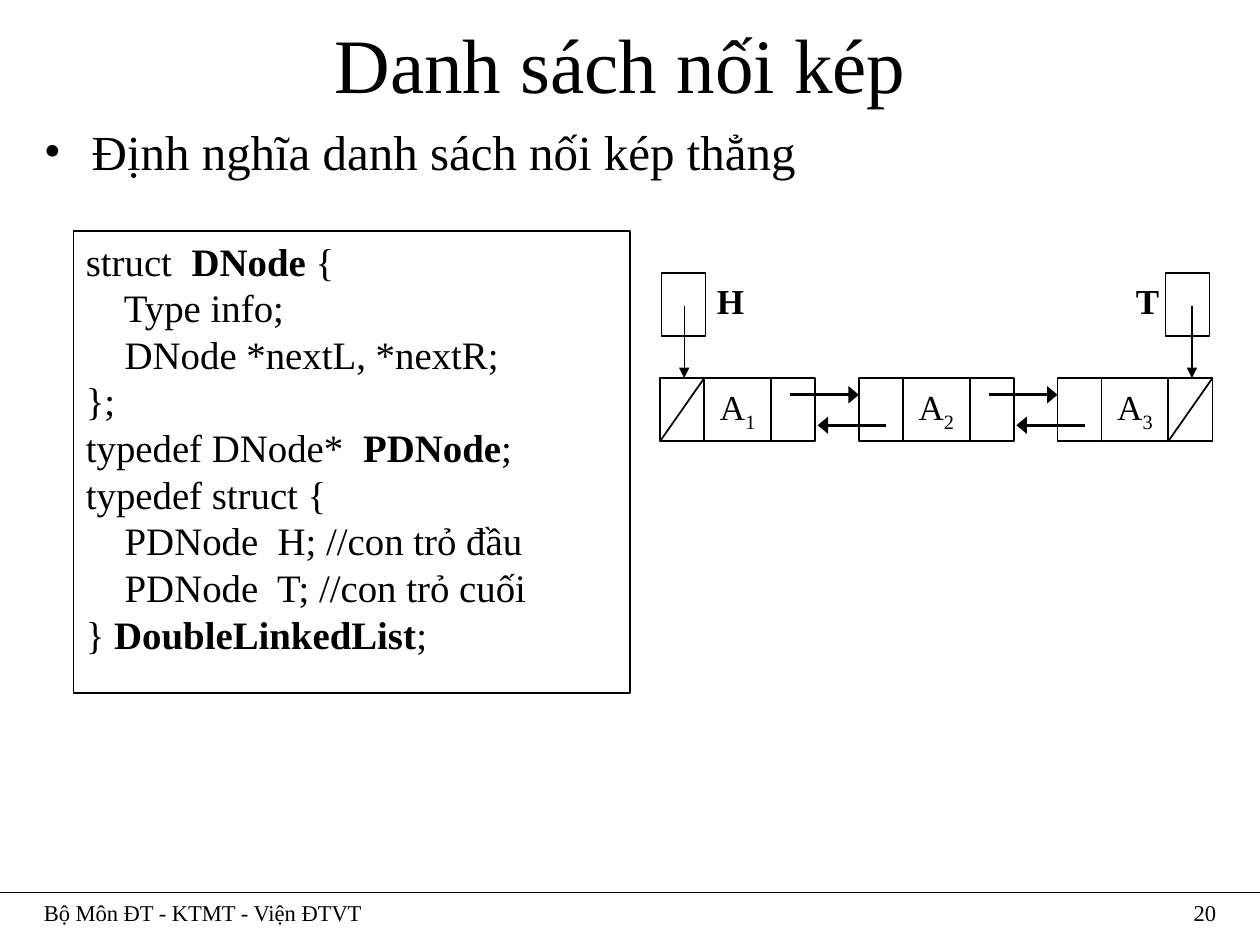
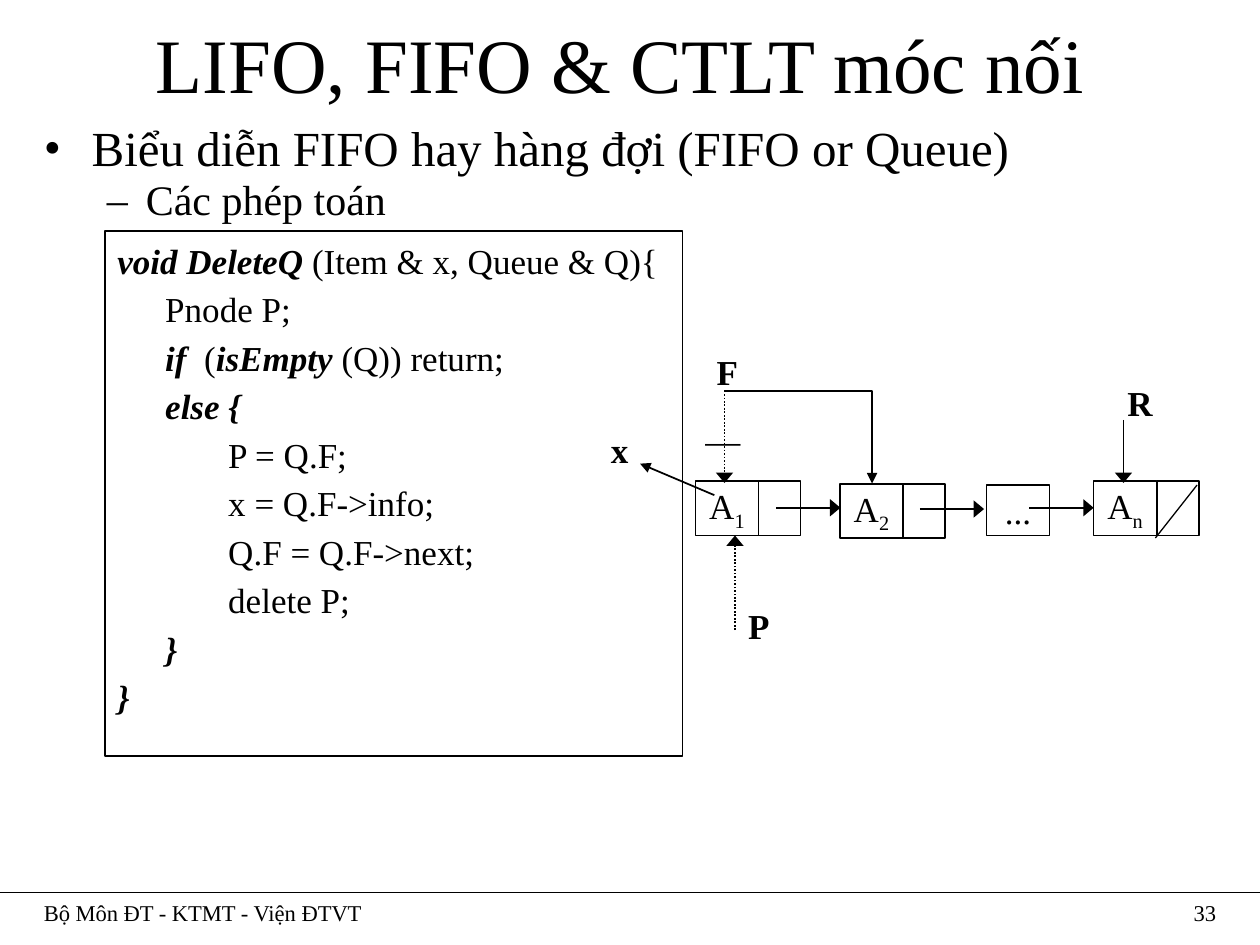
"""Builds two slides on linked lists: the doubly linked list and deletion from a queue."""
from lxml.etree import SubElement
from pptx import Presentation
from pptx.dml.color import RGBColor
from pptx.enum.dml import MSO_LINE_DASH_STYLE as DASH
from pptx.enum.shapes import MSO_CONNECTOR as CONN, MSO_SHAPE, MSO_SHAPE_TYPE as KIND
from pptx.enum.text import MSO_ANCHOR as ANCHOR, PP_ALIGN as ALIGN
from pptx.oxml.ns import qn
from pptx.util import Inches, Pt

BLACK = RGBColor(0x00, 0x00, 0x00)
FONT = "Times New Roman"
BOLD = {"bold": True}
BOLD_ITALIC = {"bold": True, "italic": True}
SUBSCRIPT = {}
RECT = MSO_SHAPE.RECTANGLE

prs = Presentation()
prs.slide_width, prs.slide_height = Inches(10), Inches(7.5)
COL = prs.slide_width / 120
ROW = prs.slide_height / 90


def put(sp, at, lines=(), size=20, accent=SUBSCRIPT, para=None, hang=None,
        anchor=ANCHOR.TOP, wrap=False, width=1):
    sp.left, sp.top, sp.width, sp.height = (
        round(v * unit) for v, unit in zip(at, (COL, ROW, COL, ROW)))
    if sp.shape_type == KIND.AUTO_SHAPE:
        sp.shadow.inherit = False
        sp.fill.background()
        sp.line.color.rgb, sp.line.width = BLACK, Pt(width)
    tf = sp.text_frame
    tf.word_wrap, tf.vertical_anchor = wrap, anchor
    for i, line in enumerate(lines):
        p = tf.add_paragraph() if i else tf.paragraphs[0]
        for name, value in (para or {"alignment": ALIGN.LEFT}).items():
            if i or name != "space_before":
                setattr(p, name, value)
        if hang:
            pPr = p._p.get_or_add_pPr()
            pPr.set("marL", str(Inches(hang)))
            pPr.set("indent", str(-Inches(hang)))
            tabs = SubElement(pPr, qn("a:tabLst"))
            for stop in range(1, 8):
                SubElement(tabs, qn("a:tab"), pos=str(Inches(stop)), algn="l")
        for j, text in enumerate(line.split("|")):
            if not text:
                continue
            r = p.add_run()
            r.text = text
            r.font.name, r.font.size, r.font.color.rgb = FONT, Pt(size), BLACK
            if j % 2:
                for name, value in accent.items():
                    setattr(r.font, name, value)
                if accent is SUBSCRIPT:
                    r._r.get_or_add_rPr().set("baseline", "-25000")
    return sp


def link(s, x1, y1, x2, y2, width=1, head=None, dash=None, kind=CONN.STRAIGHT):
    c = s.shapes.add_connector(kind, round(x1 * COL), round(y1 * ROW),
                               round(x2 * COL), round(y2 * ROW))
    c.line.color.rgb, c.line.width = BLACK, Pt(width)
    if dash:
        c.line.dash_style = dash
    if head:
        SubElement(c.line._get_or_add_ln(), qn("a:tailEnd"), type="triangle", w=head, len="med")
    SubElement(c._element.spPr, qn("a:effectLst"))
    return c


CENTER = {"alignment": ALIGN.CENTER}
NODE = {"para": CENTER, "anchor": ANCHOR.MIDDLE}
LABEL_H = 5.25
BULLETS = [("•", 28, 0.38, 0.38), ("–", 24, 0.81, 0.31)]

LIST_CODE = [
    "struct  |DNode| {",
    "    Type info;",
    "    DNode *nextL, *nextR;",
    "};",
    "typedef DNode*  |PDNode|;",
    "typedef struct {",
    "    PDNode  H; //con trỏ đầu",
    "    PDNode  T; //con trỏ cuối",
    "} |DoubleLinkedList|;",
]
QUEUE_CODE = [
    "|void DeleteQ| (Item & x, Queue & Q){",
    "\tPnode P;",
    "\t|if|  (|isEmpty| (Q)) return;",
    "|\telse {",
    "\t\tP = Q.F;",
    "\t\tx = Q.F->info;",
    "\t\tQ.F = Q.F->next;",
    "\t\tdelete P;",
    "|\t}",
    "|}",
]
PAGES = [
    {"title": "Danh sách nối kép ", "number": "20", "points": ["Định nghĩa danh sách nối kép thẳng"],
     "spacing": 1.0, "code": LIST_CODE, "code_at": (7, 22, 53, 44),
     "format": {"size": 22.2, "accent": BOLD}},
    {"title": "LIFO, FIFO & CTLT móc nối ", "number": "33",
     "points": ["Biểu diễn FIFO hay hàng đợi (FIFO or Queue)", "Các phép toán"],
     "spacing": 0.95, "code": QUEUE_CODE, "code_at": (10, 22, 55, 50),
     "format": {"size": 20, "accent": BOLD_ITALIC,
                "para": {"alignment": ALIGN.LEFT, "line_spacing": 1.05, "space_before": Pt(2.5)}}},
]

slides = []
for page in PAGES:
    s = prs.slides.add_slide(prs.slide_layouts[5])
    slides.append(s)
    put(s.shapes.title, (3, 1, 114, 10), [page["title"]], 44, wrap=True, **NODE)
    body = put(s.shapes.add_textbox(0, 0, 0, 0), (3, 11, 114, 12), page["points"], wrap=True,
               para={"line_spacing": page["spacing"]})
    for level, (p, (mark, size, left, hang)) in enumerate(zip(body.text_frame.paragraphs, BULLETS)):
        p.level = level
        pPr = p._p.get_or_add_pPr()
        pPr.set("marL", str(Inches(left)))
        pPr.set("indent", str(-Inches(hang)))
        SubElement(SubElement(pPr, qn("a:buClr")), qn("a:srgbClr"), val=str(BLACK))
        SubElement(pPr, qn("a:buFont"), typeface=FONT)
        SubElement(pPr, qn("a:buChar"), char=mark)
        p.runs[0].font.size = Pt(size)
    put(s.shapes.add_shape(RECT, 0, 0, 0, 0), page["code_at"], page["code"],
        hang=0.38, wrap=True, width=0.75, **page["format"])
    link(s, 0, 85, 120, 85, 0.75)
    put(s.shapes.add_textbox(0, 0, 0, 0), (3, 85, 102, 4), ["Bộ Môn ĐT - KTMT - Viện ĐTVT"],
        12.9, wrap=True)
    put(s.shapes.add_textbox(0, 0, 0, 0), (107, 85, 10, 4), [page["number"]], 12.9,
        para={"alignment": ALIGN.RIGHT}, wrap=True)

s = slides[0]
PTR_W, INFO_W, NODE_H = 4.2, 6.36, 6
FIRST, PITCH, TOP = 62.88, 18.92, 36
NEXT = PTR_W + INFO_W
for i in range(3):
    x = FIRST + i * PITCH
    for dx, w, lines in ((0, PTR_W, []), (PTR_W, INFO_W, [f"A|{i + 1}"]), (NEXT, PTR_W, [])):
        put(s.shapes.add_shape(RECT, 0, 0, 0, 0), (x + dx, TOP, w, NODE_H), lines, **NODE)
    if i < 2:
        link(s, x + 12.4, TOP + 1.6, x + PITCH, TOP + 1.6, 1.5, "lg")
        link(s, x + PITCH + 2.6, TOP + 4.5, x + 15, TOP + 4.5, 1.5, "lg")
for x in (FIRST, FIRST + 2 * PITCH + NEXT):
    link(s, x, TOP + NODE_H, x + PTR_W, TOP)
for name, x, label_x, label_w, arrow_x in (("H", 63, 67.08, 4.92, 65.16),
                                           ("T", 111, 107, 4.56, 113.52)):
    put(s.shapes.add_shape(RECT, 0, 0, 0, 0), (x, 26, PTR_W, NODE_H))
    put(s.shapes.add_textbox(0, 0, 0, 0), (label_x, 26, label_w, LABEL_H), [f"|{name}"], accent=BOLD)
    link(s, arrow_x, 29.1, arrow_x, TOP, 0.75, "med")

s = slides[1]
INFO_W, PTR_W, NODE_H = 6, 4, 5.16
for sub, x, y in (("1", 66.24, 45.84), ("2", 80, 46.08), ("n", 104.16, 45.84)):
    put(s.shapes.add_shape(RECT, 0, 0, 0, 0), (x, y, INFO_W, NODE_H), [f"A|{sub}"], **NODE)
    put(s.shapes.add_shape(RECT, 0, 0, 0, 0), (x + INFO_W, y, PTR_W, NODE_H))
put(s.shapes.add_shape(RECT, 0, 0, 0, 0), (93.96, 46.2, INFO_W, 4.8), ["..."], **NODE)
for x, y in ((73.92, 48.36), (87.6, 48.48), (98.04, 48.36)):
    link(s, x, y, x + 6.12, y, head="lg")
link(s, 114, 46.2, 110.04, 51.24, 0.75)
link(s, 107, 40, 107, 46, head="lg")
link(s, 69, 37.2, 69, 46, head="lg", dash=DASH.ROUND_DOT)
link(s, 70, 60, 70, 51, head="lg", dash=DASH.ROUND_DOT)
link(s, 68.04, 47.16, 60.96, 44.16, head="med")

bypass = link(s, 80.5, 34.6, 71.6, 48.6, head="med", kind=CONN.ELBOW)
bypass._element.spPr.find(qn("a:xfrm")).set("rot", "16200000")
guides = bypass._element.spPr.find(qn("a:prstGeom")).find(qn("a:avLst"))
SubElement(guides, qn("a:gd"), name="adj1", fmla="val 700")

for text, x, y, w in (("|F", 67.08, 32.76, 4.44), ("|R", 106.2, 35.76, 4.8),
                      ("|x", 57, 40.2, 4.08), ("|P", 70.08, 57, 4.44), ("—", 66, 39.24, 6.96)):
    put(s.shapes.add_textbox(0, 0, 0, 0), (x, y, w, LABEL_H), [text], accent=BOLD)

prs.save("out.pptx")
